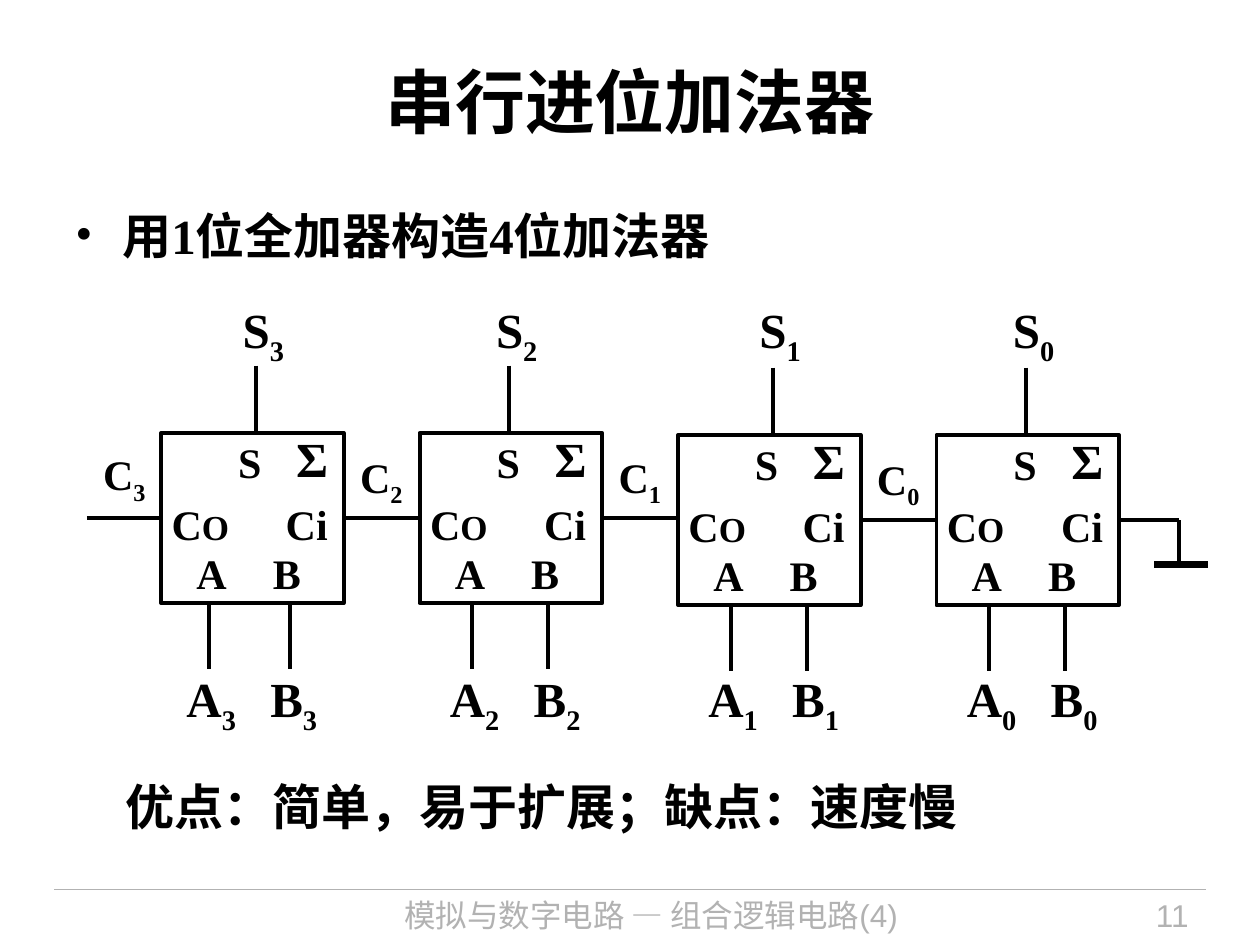
from dataclasses import dataclass

from lxml import etree
from pptx import Presentation
from pptx import util as u
from pptx.dml.color import RGBColor
from pptx.enum import shapes, text
from pptx.oxml import ns


@dataclass(frozen=True)
class Theme:
    """Colours, fonts, type sizes and line weights."""
    ink: str = "000000"
    grey: str = "B2B2B2"
    sans: str = "Arial"
    serif: str = "Times New Roman"
    title: int = 40
    body: int = 28
    pin: int = 24
    small: int = 20
    foot: int = 18
    hair: float = 0.75
    wire: float = 2.25
    bar: float = 4.5


T = Theme()
LEFT, TOP, STEP, DROP = 3.25, 8.73, 5.21, 0.04
WIDE, HIGH, STUB = 3.68, 3.43, 1.32
PINS = [("A", 0.46, 2.18, 1.12), ("B", 2.0, 2.18, 1.07),
        ("S", 1.3, -0.05, 0.97), ("Ci", 2.26, 1.19, 1.35)]


def style(font, size, face=T.serif, color=T.ink, bold=True):
    """Set the look of a font."""
    font.size, font.name, font.bold = u.Pt(size), face, bold
    font.color.rgb = RGBColor.from_string(color)


def label(slide, spot, words, size, wrap=False, tight=False, mid=False,
          align=text.PP_ALIGN.LEFT, **look):
    """Add a one-line text box and return its paragraph."""
    box = slide.shapes.add_textbox(*map(u.Cm, spot))
    frame = box.text_frame
    frame.word_wrap = wrap
    if not wrap:
        frame.auto_size = text.MSO_AUTO_SIZE.SHAPE_TO_FIT_TEXT
    if tight:
        frame.margin_left = frame.margin_right = 0
        frame.margin_top = frame.margin_bottom = 0
    if tight or mid:
        frame.vertical_anchor = text.MSO_ANCHOR.MIDDLE
    para = frame.paragraphs[0]
    para.alignment = align
    para.add_run().text = words
    style(para.font, size, **look)
    return para


def signal(slide, spot, name, index, size=T.body, tight=False):
    """Add a signal name with its index as a subscript."""
    para = label(slide, spot, name, size, tight=tight)
    sub = para.add_run()
    sub.text = str(index)
    sub.font._element.set("baseline", "-25000")


def wire(slide, start, end, weight=T.wire, color=T.ink):
    """Draw a straight line between two points."""
    line = slide.shapes.add_connector(
        shapes.MSO_CONNECTOR.STRAIGHT, *map(u.Cm, (*start, *end)))
    line.line.width = u.Pt(weight)
    line.line.color.rgb = RGBColor.from_string(color)
    etree.SubElement(line._element.spPr, ns.qn("a:effectLst"))
    return line


def adder(slide, x, y):
    """Draw a full adder with its pin names."""
    box = slide.shapes.add_shape(
        shapes.MSO_SHAPE.RECTANGLE, *map(u.Cm, (x, y, WIDE, HIGH)))
    box.shadow.inherit = False
    box.fill.background()
    box.line.width = u.Pt(T.wire)
    box.line.color.rgb = RGBColor.from_string(T.ink)
    for name, dx, dy, wide in PINS:
        label(slide, (x + dx, y + dy, wide, 1.27), name, T.pin)
    label(slide, (x + 2.72, y - 0.1, 0.64, 1.19), "Σ", T.body, tight=True)
    para = label(slide, (x - 0.04, y + 1.19, 1.7, 1.27), "C", T.pin)
    out = para.add_run()
    out.text = "O"
    out.font.size = u.Pt(T.small)
    return box


def stage(slide, order):
    """Draw one bit: adder, sum above, operands below."""
    bit = 3 - order
    x, y = LEFT + STEP * order, TOP + DROP * (order // 2)
    up = x - 0.1 * (order % 2)
    down = x - (0.1 if order == 0 else 0)
    wire(slide, (up + 1.91, y - 0.04 - STUB), (up + 1.91, y - 0.04))
    signal(slide, (up + 1.39, 5.92, 1.35, 1.6), "S", bit)
    for name, pin, dx, wide in (("A", down + 1.06, 0.36, 1.5),
                                ("B", x + 2.59, 2.05, 1.45)):
        wire(slide, (pin, y + HIGH), (pin, y + HIGH + STUB))
        signal(slide, (down + dx, 13.36, wide, 1.6), name, bit)
    return adder(slide, x, y)


def carry(slide, boxes):
    """Join the adders and ground the first carry."""
    mid = TOP + HIGH / 2
    line = wire(slide, (1.75, mid), (LEFT, mid))
    line.end_connect(boxes[0], 1)
    signal(slide, (2.08, 9.04, 0.86, 1.17), "C", 3, T.pin, True)
    for order, (box, after) in enumerate(zip(boxes, boxes[1:])):
        x, y = LEFT + STEP * order + WIDE, TOP + DROP * (order // 2)
        line = wire(slide, (x, y + HIGH / 2), (LEFT + STEP * (order + 1), y + HIGH / 2))
        line.begin_connect(box, 3)
        if box.top == after.top:
            line.end_connect(after, 1)
        signal(slide, (x + 0.33, y + 0.36, 0.86, 1.17), "C", 2 - order, T.pin, True)
    x, y = 23.77, mid + DROP
    wire(slide, (x - 1.2, y), (x, y)).begin_connect(boxes[-1], 3)
    wire(slide, (x, y), (x, 11.38))
    wire(slide, (23.27, 11.38), (24.36, 11.38), T.bar)


def bullet(slide, spot, words):
    """Add a bulleted line."""
    para = label(slide, spot, words, T.body, wrap=True)
    props = para._p.get_or_add_pPr()
    props.set("marL", str(u.Cm(0.95)))
    props.set("indent", str(u.Cm(-0.95)))
    last = props.find(ns.qn("a:defRPr"))
    last.addprevious(etree.Element(ns.qn("a:buFont"), typeface=T.serif))
    last.addprevious(etree.Element(ns.qn("a:buChar"), char="•"))
    para.space_after = u.Pt(7)


def footer(slide):
    """Add the rule, the course name and the page number."""
    wire(slide, (1.09, 17.93), (24.31, 17.93), T.hair, T.grey)
    look = dict(wrap=True, face=T.sans, color=T.grey, bold=False)
    label(slide, (6.32, 17.93, 13.61, 1.12), "模拟与数字电路 — 组合逻辑电路(4)",
          T.foot, align=text.PP_ALIGN.CENTER, **look)
    label(slide, (20.83, 17.93, 3.38, 1.12), "11",
          T.foot, align=text.PP_ALIGN.RIGHT, **look)


def main():
    """Build the slide and save it."""
    deck = Presentation()
    deck.slide_width, deck.slide_height = u.Cm(25.4), u.Cm(19.05)
    slide = deck.slides.add_slide(deck.slide_layouts[6])
    footer(slide)
    label(slide, (1.27, 0.43, 22.86, 3.18), "串行进位加法器", T.title, wrap=True,
          mid=True, align=text.PP_ALIGN.CENTER, face=T.sans)
    bullet(slide, (1.27, 4.01, 22.86, 1.98), "用1位全加器构造4位加法器")
    carry(slide, [stage(slide, order) for order in range(4)])
    label(slide, (2.29, 15.52, 19.61, 1.45), "优点：简单，易于扩展；缺点：速度慢",
          T.body, wrap=True, face=T.sans)
    deck.save("out.pptx")


if __name__ == "__main__":
    main()
